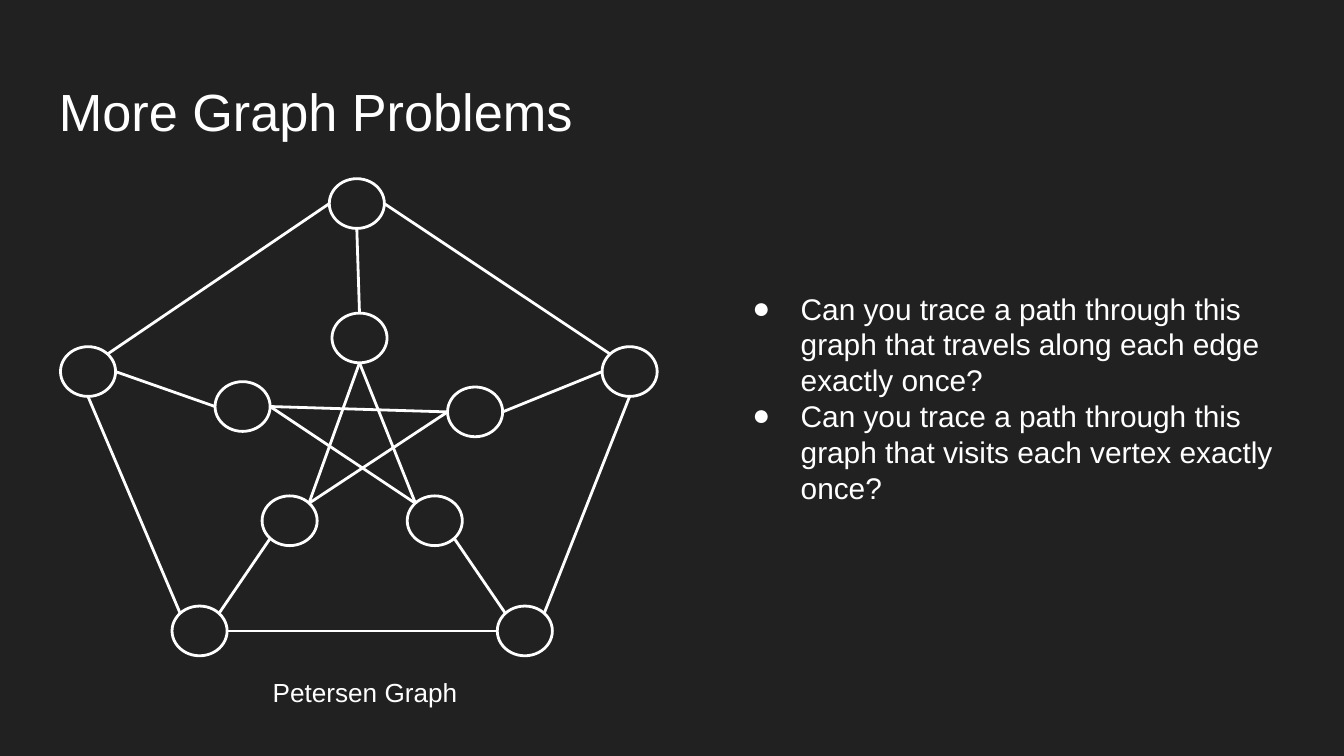
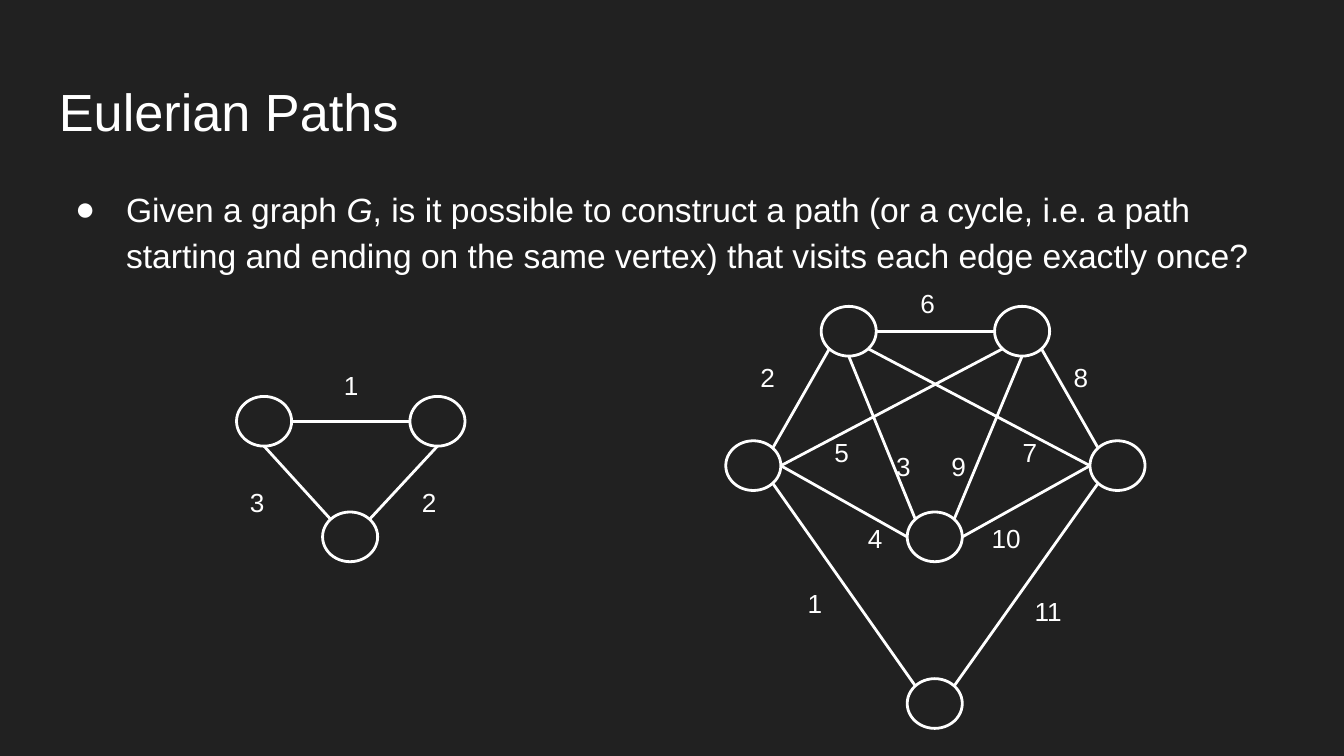
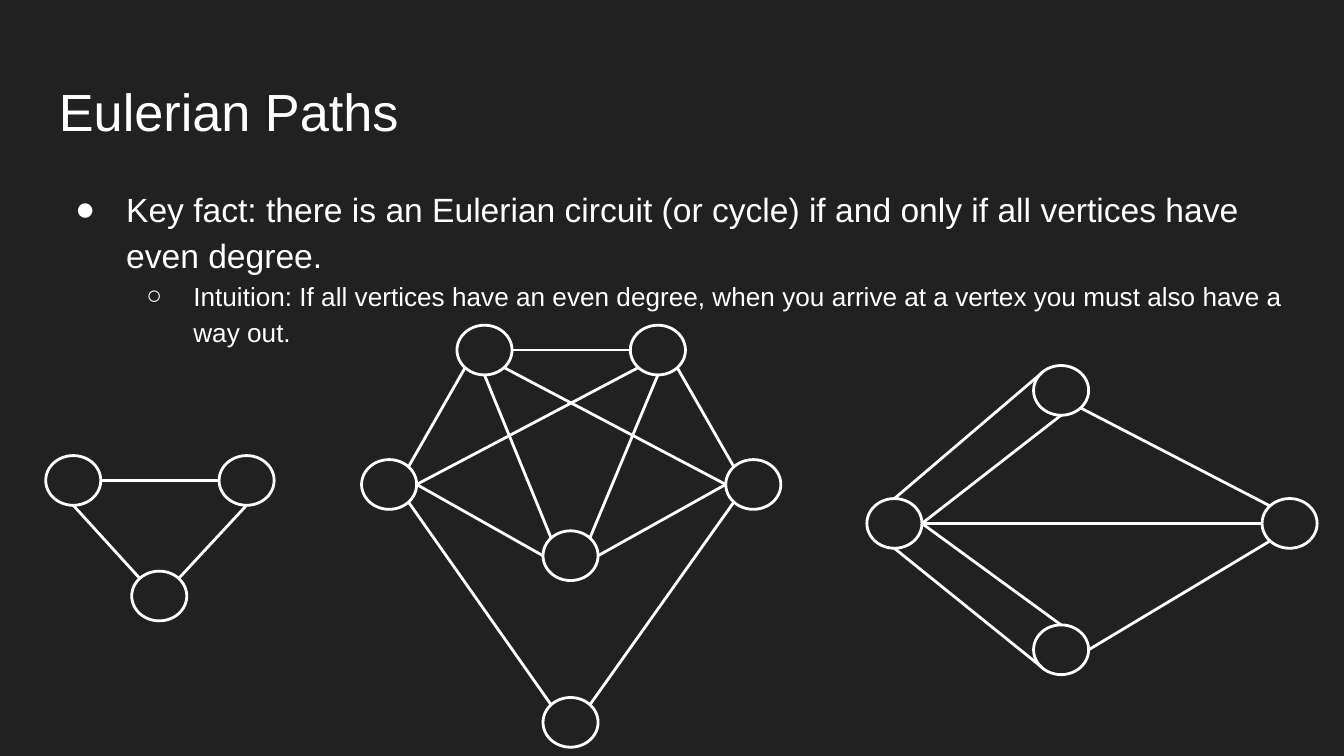
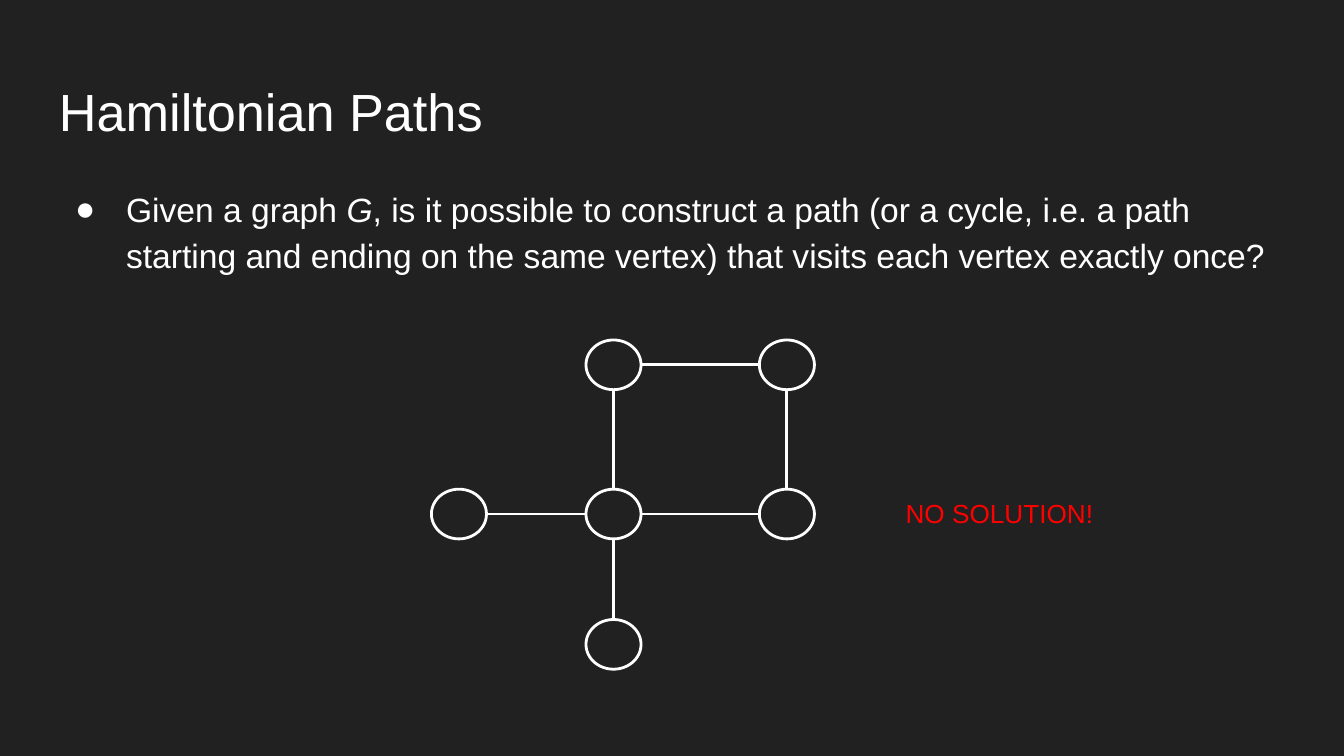
from lxml.etree import SubElement
from pptx import Presentation
from pptx.dml.color import RGBColor
from pptx.enum.shapes import MSO_CONNECTOR, MSO_SHAPE
from pptx.oxml.ns import qn
from pptx.util import Inches, Pt

BACKGROUND = RGBColor(0x21, 0x21, 0x21)
WHITE = RGBColor(0xFF, 0xFF, 0xFF)
RED = RGBColor(0xFF, 0x00, 0x00)

# Text styles: font attributes, then paragraph layout
TITLE = {"font": {"name": "Arial", "size": Pt(28)}}
LABEL = {"font": {"name": "Arial", "size": Pt(14)}}
WARNING = {**LABEL, "color": RED}
QUESTION = {"font": {"name": "Arial", "size": Pt(16)},
            "bullet": "●", "margin": 0.5, "hanging": 0.36}
POINT = {"font": {"name": "Arial", "size": Pt(18)}, "spacing": 1.15,
         "bullet": "●", "margin": 0.5, "hanging": 0.38}
SUBPOINT = {**LABEL, "spacing": 1.15, "level": 1,
            "bullet": "○", "margin": 1, "hanging": 0.35}

# Vertex size, and where an edge can meet a vertex (fractions of that size)
VERTEX_W, VERTEX_H = 0.41, 0.37
SITES = {"N": (0.5, 0), "NE": (0.85, 0.15), "E": (1, 0.5), "SE": (0.85, 0.85),
         "S": (0.5, 1), "SW": (0.15, 0.85), "W": (0, 0.5), "NW": (0.15, 0.15)}

# Graphs: vertex corners, and edges written as vertex.site-vertex.site
PETERSEN = {
    "vertices": {"T": (2.45, 1.33), "L": (0.45, 2.58), "R": (4.48, 2.58),
                 "BL": (1.28, 4.51), "BR": (3.7, 4.51),
                 "t": (2.47, 2.33), "l": (1.6, 2.84), "r": (3.33, 2.88),
                 "bl": (1.95, 3.69), "br": (3.03, 3.69)},
    "edges": "BR.NE-R.S BL.E-BR.W L.S-BL.NW L.NE-T.W R.NW-T.E "
             "T.S-t.N R.W-r.E BR.NW-br.SE BL.NE-bl.SW L.E-l.W "
             "br.NW-t.S bl.NE-t.S r.W-l.E br.NW-l.E r.W-bl.NE",
}
TRIANGLE = {
    "vertices": {"L": (0, 0), "R": (1.29, 0), "B": (0.64, 0.86)},
    "edges": "L.S-B.NW L.E-R.W B.NE-R.S",
}
HEXAGON = {
    "vertices": {"TL": (0.71, 0), "TR": (2, 0), "L": (0, 1), "R": (2.71, 1),
                 "M": (1.35, 1.53), "B": (1.35, 2.77)},
    "edges": "TL.S-M.NW TL.E-TR.W M.NE-TR.S L.NE-TL.SW L.SE-B.NW B.NE-R.SW "
             "R.NW-TR.SE L.E-M.W M.E-R.W TL.SE-R.W L.E-TR.SW",
}
BRIDGES = {
    "vertices": {"L": (0, 0.99), "T": (1.24, 0), "R": (2.94, 0.99), "B": (1.24, 1.93)},
    "edges": "L.E-B.N L.E-T.S R.NW-T.SE B.E-R.SW L.N-T.NW L.S-B.SW R.W-L.E",
}
SQUARE = {
    "vertices": {"TL": (1.15, 0), "TR": (2.44, 0), "L": (0, 1.11),
                 "M": (1.15, 1.11), "R": (2.44, 1.11), "B": (1.15, 2.08)},
    "edges": "TL.S-M.N TL.E-TR.W R.N-TR.S M.E-R.W L.E-M.W M.S-B.N",
}


def add_text(shapes, box, *paragraphs):
    """Add a text box of (style, text) paragraphs; *stars* enclose italics."""
    frame = shapes.add_textbox(*map(Inches, box)).text_frame
    frame.word_wrap = True
    for side in ("left", "right", "top", "bottom"):
        setattr(frame, f"margin_{side}", Inches(0.1))
    for number, (style, text) in enumerate(paragraphs):
        paragraph = frame.add_paragraph() if number else frame.paragraphs[0]
        paragraph.level = style.get("level", 0)
        paragraph.line_spacing = style.get("spacing", 1.0)
        if "bullet" in style:
            properties = paragraph._p.get_or_add_pPr()
            properties.set("marL", str(Inches(style["margin"])))
            properties.set("indent", str(-Inches(style["hanging"])))
            color = SubElement(properties, qn("a:buClr"))
            SubElement(color, qn("a:srgbClr"), val=str(WHITE))
            SubElement(properties, qn("a:buFont"), typeface="Arial")
            SubElement(properties, qn("a:buChar"), char=style["bullet"])
        for part, words in enumerate(text.split("*")):
            run = paragraph.add_run()
            run.text = words
            run.font.color.rgb = style.get("color", WHITE)
            for attribute, value in style["font"].items():
                setattr(run.font, attribute, value)
            if part % 2:
                run.font.italic = True


def add_graph(slide, graph, left=0, top=0):
    """Draw a graph as one group, shifted by left and top."""
    group = slide.shapes.add_group_shape().shapes
    corners = {name: (left + x, top + y) for name, (x, y) in graph["vertices"].items()}
    for x, y in corners.values():
        vertex = group.add_shape(MSO_SHAPE.OVAL, Inches(x), Inches(y),
                                 Inches(VERTEX_W), Inches(VERTEX_H))
        vertex.shadow.inherit = False
        vertex.fill.background()
        vertex.line.color.rgb = WHITE
        vertex.line.width = Pt(1.5)
    for ends in graph["edges"].split():
        points = []
        for end in ends.split("-"):
            name, site = end.split(".")
            (x, y), (across, down) = corners[name], SITES[site]
            points += [Inches(x + across * VERTEX_W), Inches(y + down * VERTEX_H)]
        edge = group.add_connector(MSO_CONNECTOR.STRAIGHT, *points)
        edge.line.color.rgb = WHITE
        edge.line.width = Pt(1.5)
        SubElement(edge._element.spPr, qn("a:effectLst"))


# Widescreen 16:9 page
presentation = Presentation()
presentation.slide_width = Inches(10)
presentation.slide_height = Inches(10) * 9 // 16

# Slides with their background and title
slides = []
for heading in ("More Graph Problems", "Eulerian Paths", "Eulerian Paths", "Hamiltonian Paths"):
    slide = presentation.slides.add_slide(presentation.slide_layouts[6])
    slide.background.fill.solid()
    slide.background.fill.fore_color.rgb = BACKGROUND
    add_text(slide.shapes, (0.34, 0.49, 9.32, 0.63), (TITLE, heading))
    slides.append(slide)
problems, euler_question, euler_fact, hamilton = slides

# Slide 1: Petersen graph and two questions
add_text(problems.shapes, (5.36, 2.06, 4.3, 1.85),
         (QUESTION, "Can you trace a path through this graph that travels along each edge exactly once?"),
         (QUESTION, "Can you trace a path through this graph that visits each vertex exactly once?"))
add_graph(problems, PETERSEN)
add_text(problems.shapes, (1.93, 4.93, 1.78, 0.74), (LABEL, "Petersen Graph"))

# Slides 2 and 4: the same question about edges and about vertices
for slide, target, height in ((euler_question, "edge", 0.87), (hamilton, "vertex", 0.8)):
    add_text(slide.shapes, (0.34, 1.26, 9.32, height),
             (POINT, "Given a graph *G*, is it possible to construct a path (or a cycle, i.e. a path "
                     f"starting and ending on the same vertex) that visits each {target} exactly once?"))

# Slide 2: two graphs with their edges numbered in order of travel
add_graph(euler_question, TRIANGLE, 1.76, 2.95)
add_graph(euler_question, HEXAGON, 5.4, 2.28)
triangle_steps = [(2.46, 2.65), (3.04, 3.52), (1.76, 3.52)]
hexagon_steps = [(5.91, 4.27), (5.56, 2.59), (6.57, 3.25), (6.36, 3.79),
                 (6.11, 3.15), (6.75, 2.04), (7.51, 3.15), (7.89, 2.59),
                 (6.98, 3.25), (7.28, 3.79), (7.6, 4.33)]
for steps in (triangle_steps, hexagon_steps):
    numbers = euler_question.shapes.add_group_shape().shapes
    for step, (x, y) in enumerate(steps, start=1):
        add_text(numbers, (x, y, 0.41 if step < 10 else 0.43, 0.42), (LABEL, str(step)))

# Slide 3: key fact and three graphs
add_text(euler_fact.shapes, (0.34, 1.26, 9.32, 1.43),
         (POINT, "Key fact: there is an Eulerian circuit (or cycle) if and only if "
                 "all vertices have even degree."),
         (SUBPOINT, "Intuition: If all vertices have an even degree, when you arrive at a vertex "
                    "you must also have a way out."))
add_graph(euler_fact, TRIANGLE, 0.34, 3.39)
add_graph(euler_fact, HEXAGON, 2.69, 2.42)
add_graph(euler_fact, BRIDGES, 6.45, 2.72)

# Slide 4: graph without a Hamiltonian path
add_graph(hamilton, SQUARE, 3.21, 2.53)
add_text(hamilton.shapes, (6.64, 3.6, 1.67, 0.37), (WARNING, "NO SOLUTION!"))

presentation.save("out.pptx")
